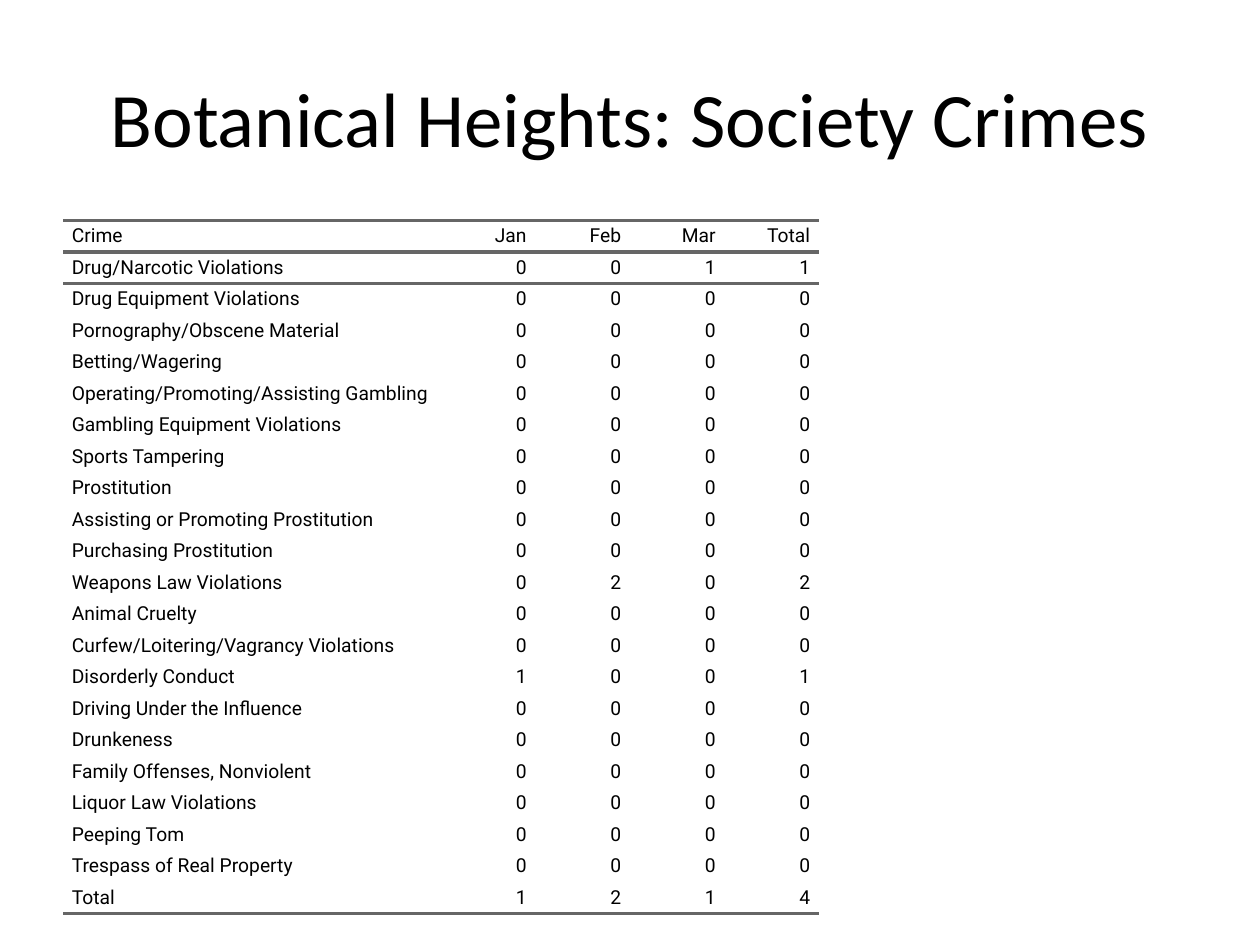
from pptx import Presentation
from pptx.dml.color import RGBColor
from pptx.enum.text import MSO_ANCHOR, PP_ALIGN
from pptx.oxml.ns import qn
from pptx.util import Pt
from lxml import etree

PX = 9144  # 100 px to the inch
MIDDLE = MSO_ANCHOR.MIDDLE
LEFT, CENTER, RIGHT = PP_ALIGN.LEFT, PP_ALIGN.CENTER, PP_ALIGN.RIGHT
COLORS = {"text": "000000", "rule": "666666"}
PLAIN = "{2D5ABB26-0587-4C30-8999-92F81FD0307C}"  # table style without grid

TITLE = "Botanical Heights: Society Crimes"
MONTHS = ["Jan", "Feb", "Mar"]
CRIMES = [
    ("Drug/Narcotic Violations", 0, 0, 1),
    ("Drug Equipment Violations", 0, 0, 0),
    ("Pornography/Obscene Material", 0, 0, 0),
    ("Betting/Wagering", 0, 0, 0),
    ("Operating/Promoting/Assisting Gambling", 0, 0, 0),
    ("Gambling Equipment Violations", 0, 0, 0),
    ("Sports Tampering", 0, 0, 0),
    ("Prostitution", 0, 0, 0),
    ("Assisting or Promoting Prostitution", 0, 0, 0),
    ("Purchasing Prostitution", 0, 0, 0),
    ("Weapons Law Violations", 0, 2, 0),
    ("Animal Cruelty", 0, 0, 0),
    ("Curfew/Loitering/Vagrancy Violations", 0, 0, 0),
    ("Disorderly Conduct", 1, 0, 0),
    ("Driving Under the Influence", 0, 0, 0),
    ("Drunkeness", 0, 0, 0),
    ("Family Offenses, Nonviolent", 0, 0, 0),
    ("Liquor Law Violations", 0, 0, 0),
    ("Peeping Tom", 0, 0, 0),
    ("Trespass of Real Property", 0, 0, 0),
]


def add_run(para, text, font, size, align):
    para.alignment = align
    run = para.add_run()
    run.text = text
    run.font.name = font
    run.font.size = Pt(size)
    run.font.color.rgb = RGBColor.from_string(COLORS["text"])


def add_title(slide, x, y, w, h):
    box = slide.shapes.add_textbox(x * PX, y * PX, w * PX, h * PX)
    frame = box.text_frame
    frame.word_wrap = True
    frame.vertical_anchor = MIDDLE
    add_run(frame.paragraphs[0], TITLE, "Calibri", 44, CENTER)


def add_rule(cell, side):
    """Draw a 2 pt border on the lnT or lnB side of a cell."""
    props = cell._tc.get_or_add_tcPr()
    line = etree.SubElement(props, qn(f"a:{side}"), w=str(Pt(2)))
    fill = etree.SubElement(line, qn("a:solidFill"))
    etree.SubElement(fill, qn("a:srgbClr"), val=COLORS["rule"])


def fill_cell(cell, text, align, sides):
    cell.margin_left = cell.margin_right = 0
    cell.margin_top = cell.margin_bottom = 0
    cell.vertical_anchor = MIDDLE
    for side in sides:
        add_rule(cell, side)
    cell.fill.background()
    para = cell.text_frame.paragraphs[0]
    props = para._p.get_or_add_pPr()
    for name in ("marL", "marR"):
        props.set(name, str(7 * PX))
    props.set("indent", "0")
    add_run(para, text, "Roboto", 11, align)


def crime_rows():
    """Add the total column and the total row to the monthly counts."""
    sums = [sum(month) for month in zip(*(row[1:] for row in CRIMES))]
    body = [*CRIMES, ("Total", *sums)]
    return [("Crime", *MONTHS, "Total"),
            *((*row, sum(row[1:])) for row in body)]


def add_crimes(slide, x, y, w, h):
    rows = crime_rows()
    count, cols = len(rows), len(rows[0])
    shape = slide.shapes.add_table(count, cols, x * PX, y * PX, w * PX, h * PX)
    table = shape.table
    table.first_row = table.horz_banding = False
    next(shape.element.iter(qn("a:tableStyleId"))).text = PLAIN
    for c, col in enumerate(table.columns):
        col.width = (w // 2 if c == 0 else w // 2 // (cols - 1)) * PX
    rules = {0: ("lnT", "lnB"), 1: ("lnT",), count - 1: ("lnB",)}
    for r, row in enumerate(rows):
        table.rows[r].height = h // count * PX
        for c, value in enumerate(row):
            fill_cell(table.cell(r, c), str(value),
                      RIGHT if c else LEFT, rules.get(r, ()))


def main():
    deck = Presentation()
    deck.slide_width, deck.slide_height = 1000 * PX, 750 * PX
    slide = deck.slides.add_slide(deck.slide_layouts[6])
    add_crimes(slide, 50, 175, 600, 550)
    add_title(slide, 50, 30, 900, 125)
    deck.save("out.pptx")


if __name__ == "__main__":
    main()
